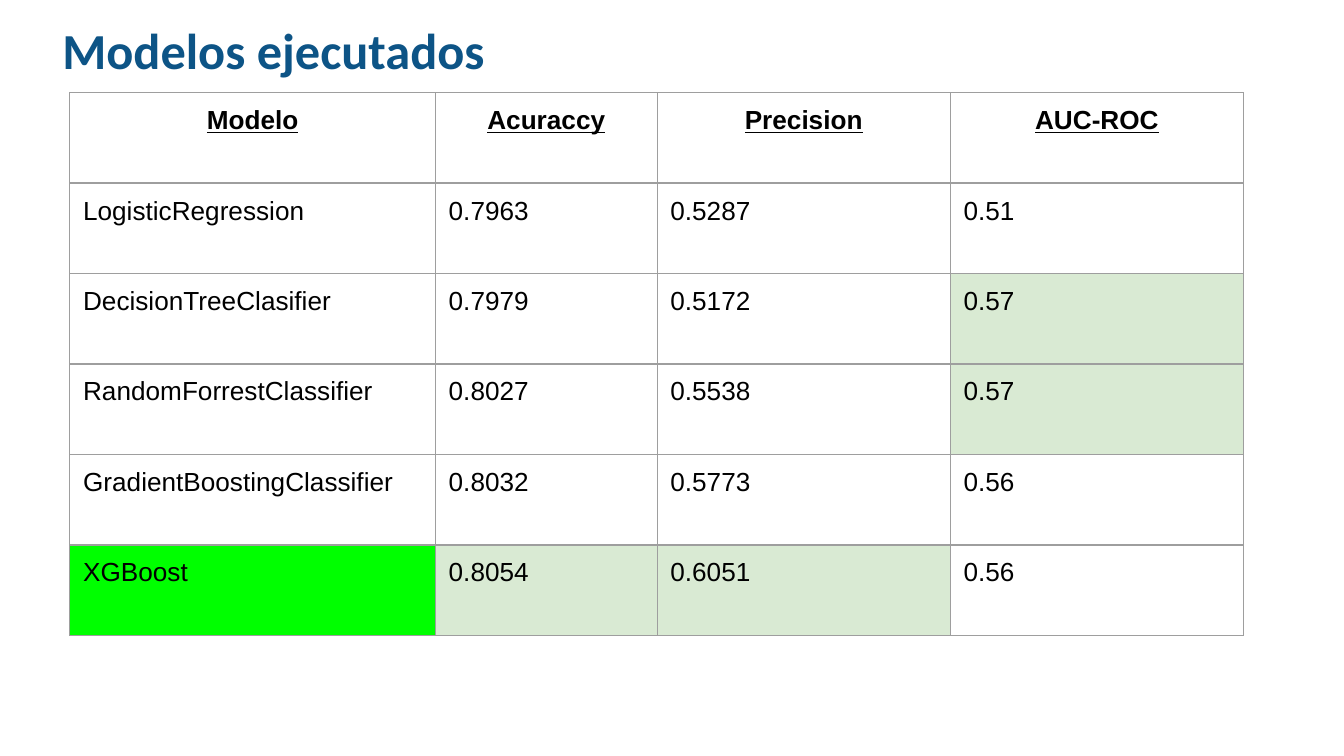
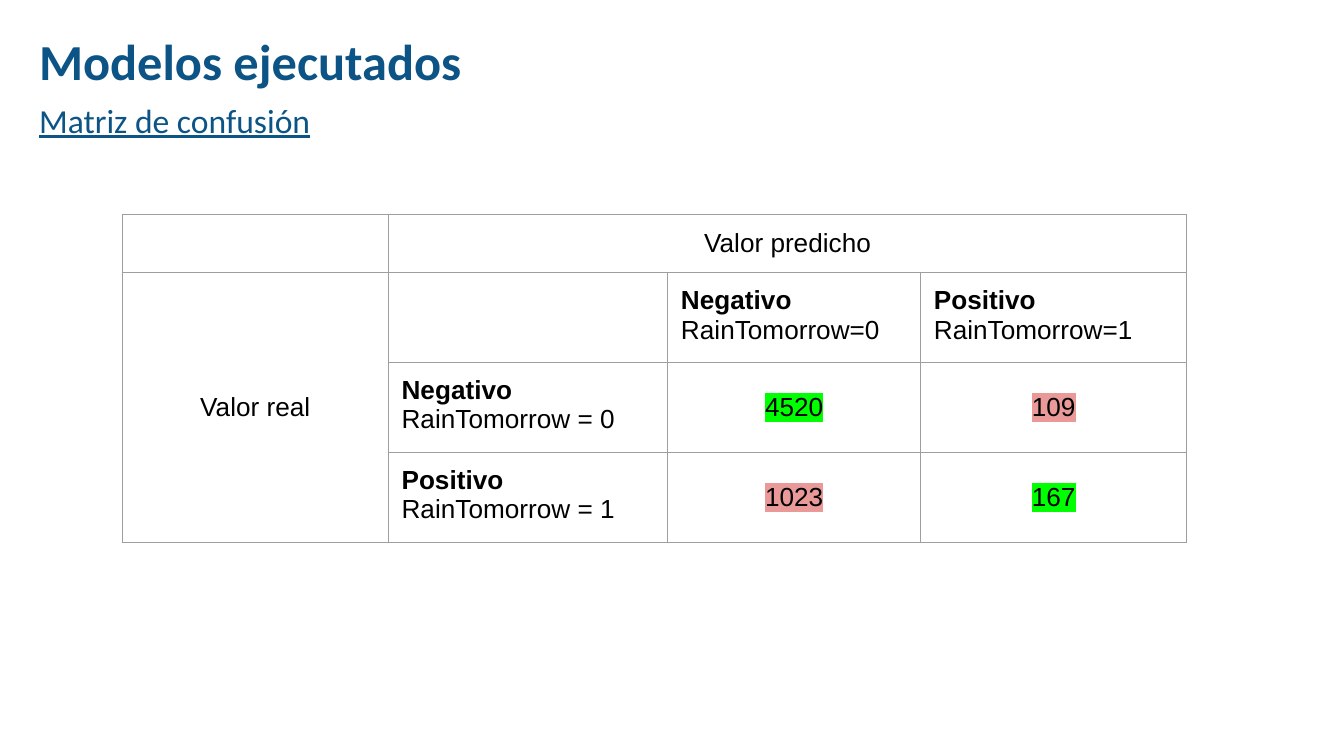
import lxml.etree
import pptx
import pptx.dml.color
import pptx.enum.text
import pptx.oxml.ns
import pptx.util

Cm, Pt = pptx.util.Cm, pptx.util.Pt
RGBColor = pptx.dml.color.RGBColor
ALIGN = pptx.enum.text.PP_ALIGN
ANCHOR = pptx.enum.text.MSO_ANCHOR
qn = pptx.oxml.ns.qn

# Shared look
BLUE = RGBColor(0x0D, 0x54, 0x86)
BLACK = RGBColor(0x00, 0x00, 0x00)
GREY = RGBColor(0x9E, 0x9E, 0x9E)
GREEN = RGBColor(0x00, 0xFF, 0x00)
PALE_GREEN = RGBColor(0xD9, 0xEA, 0xD3)
PINK = RGBColor(0xEA, 0x99, 0x99)
TITLE_FONT, TABLE_FONT = "Calibri", "Arial"
TITLE = "Modelos ejecutados"
CELL_MARGIN = Cm(0.25)

MODEL_ROWS = [
    ("Modelo", "Acuraccy", "Precision", "AUC-ROC"),
    ("LogisticRegression", "0.7963", "0.5287", "0.51"),
    ("DecisionTreeClasifier", "0.7979", "0.5172", "0.57"),
    ("RandomForrestClassifier", "0.8027", "0.5538", "0.57"),
    ("GradientBoostingClassifier", "0.8032", "0.5773", "0.56"),
    ("XGBoost", "0.8054", "0.6051", "0.56"),
]
# Best value of each metric, and the chosen model
MODEL_FILLS = {(2, 3): PALE_GREEN, (3, 3): PALE_GREEN, (5, 0): GREEN,
               (5, 1): PALE_GREEN, (5, 2): PALE_GREEN}

CLASSES = ["Negativo", "Positivo"]
CONFUSION = [["4520", "109"], ["1023", "167"]]


def add_run(paragraph, text, font_name, size, color, bold=False, underline=False):
    run = paragraph.add_run()
    run.text = text
    font = run.font
    font.name, font.size, font.bold = font_name, Pt(size), bold
    font.color.rgb = color
    if underline:
        font.underline = True
    return run


def highlight(run, color):
    properties = run.font._element
    mark = lxml.etree.Element(qn("a:highlight"))
    lxml.etree.SubElement(mark, qn("a:srgbClr"), val=str(color))
    properties.find(qn("a:latin")).addprevious(mark)


def add_heading(slide, left, top, width, height, subtitle=None):
    """Title, with an underlined subtitle below it when given."""
    frame = slide.shapes.add_textbox(Cm(left), Cm(top), Cm(width), Cm(height)).text_frame
    frame.word_wrap = True
    frame.vertical_anchor = ANCHOR.TOP
    frame.margin_left = frame.margin_right = Cm(0.24)
    frame.margin_top = frame.margin_bottom = Cm(0.1)
    paragraph = frame.paragraphs[0]
    paragraph.line_spacing = 1.23
    add_run(paragraph, TITLE, TITLE_FONT, 27, BLUE, bold=True)
    if subtitle:
        paragraph = frame.add_paragraph()
        paragraph.line_spacing = 1.23
        add_run(paragraph, subtitle, TITLE_FONT, 18, BLUE, underline=True)


def add_grid(slide, left, top, column_widths, row_heights):
    """Unfilled table with thin grey borders on every cell."""
    table = slide.shapes.add_table(
        len(row_heights), len(column_widths), Cm(left), Cm(top),
        Cm(sum(column_widths)), Cm(sum(row_heights))).table
    table.first_row = table.horz_banding = False
    for column, width in zip(table.columns, column_widths):
        column.width = Cm(width)
    for row, height in zip(table.rows, row_heights):
        row.height = Cm(height)
    for cell in table.iter_cells():
        properties = cell._tc.get_or_add_tcPr()
        for side in ("a:lnL", "a:lnR", "a:lnT", "a:lnB"):
            line = lxml.etree.SubElement(properties, qn(side), w=str(Pt(0.75)))
            fill = lxml.etree.SubElement(line, qn("a:solidFill"))
            lxml.etree.SubElement(fill, qn("a:srgbClr"), val=str(GREY))
        cell.fill.background()
    return table


def write_cell(cell, lines, centred=False, middle=False, bold_first=False, underline=False):
    """Write one paragraph per line and return the runs."""
    cell.margin_left = cell.margin_right = CELL_MARGIN
    cell.margin_top = cell.margin_bottom = CELL_MARGIN
    if middle:
        cell.vertical_anchor = ANCHOR.MIDDLE
    runs = []
    for index, text in enumerate(lines):
        frame = cell.text_frame
        paragraph = frame.add_paragraph() if index else frame.paragraphs[0]
        if centred:
            paragraph.alignment = ALIGN.CENTER
        runs.append(add_run(paragraph, text, TABLE_FONT, 14, BLACK,
                            bold=bold_first and index == 0, underline=underline))
    return runs


def add_model_table(slide, left, top):
    table = add_grid(slide, left, top, [6.91, 4.19, 5.54, 5.54], [1.71] * len(MODEL_ROWS))
    for row, values in enumerate(MODEL_ROWS):
        header = row == 0
        for column, text in enumerate(values):
            cell = table.cell(row, column)
            write_cell(cell, [text], centred=header, bold_first=header, underline=header)
            if (row, column) in MODEL_FILLS:
                cell.fill.solid()
                cell.fill.fore_color.rgb = MODEL_FILLS[row, column]


def add_confusion_table(slide, left, top):
    table = add_grid(slide, left, top, [5.03, 5.28, 4.78, 5.03], [1.09] + [1.7] * 3)
    # Axis labels
    table.cell(0, 1).merge(table.cell(0, 3))
    table.cell(1, 0).merge(table.cell(3, 0))
    write_cell(table.cell(0, 1), ["Valor predicho"], centred=True, middle=True)
    write_cell(table.cell(1, 0), ["Valor real"], centred=True, middle=True)
    # Class labels and counts, hits in green and misses in pink
    for actual, name in enumerate(CLASSES):
        write_cell(table.cell(1, actual + 2), [name, f"RainTomorrow={actual}"], bold_first=True)
        write_cell(table.cell(actual + 2, 1), [name, f"RainTomorrow = {actual}"], bold_first=True)
        for predicted, count in enumerate(CONFUSION[actual]):
            cell = table.cell(actual + 2, predicted + 2)
            run = write_cell(cell, [count], centred=True, middle=True)[0]
            highlight(run, GREEN if actual == predicted else PINK)


def build_models_slide(slide):
    add_heading(slide, 0.94, 0, 11.81, 2.51)
    add_model_table(slide, 1.32, 1.75)


def build_confusion_slide(slide):
    add_heading(slide, 0.5, 0.2, 9.93, 3.71, "Matriz de confusión")
    add_confusion_table(slide, 2.31, 4.06)


def main():
    presentation = pptx.Presentation()
    presentation.slide_width, presentation.slide_height = Cm(25.4), Cm(14.29)
    blank = presentation.slide_layouts[6]
    for build in (build_models_slide, build_confusion_slide):
        build(presentation.slides.add_slide(blank))
    presentation.save("out.pptx")


if __name__ == "__main__":
    main()
